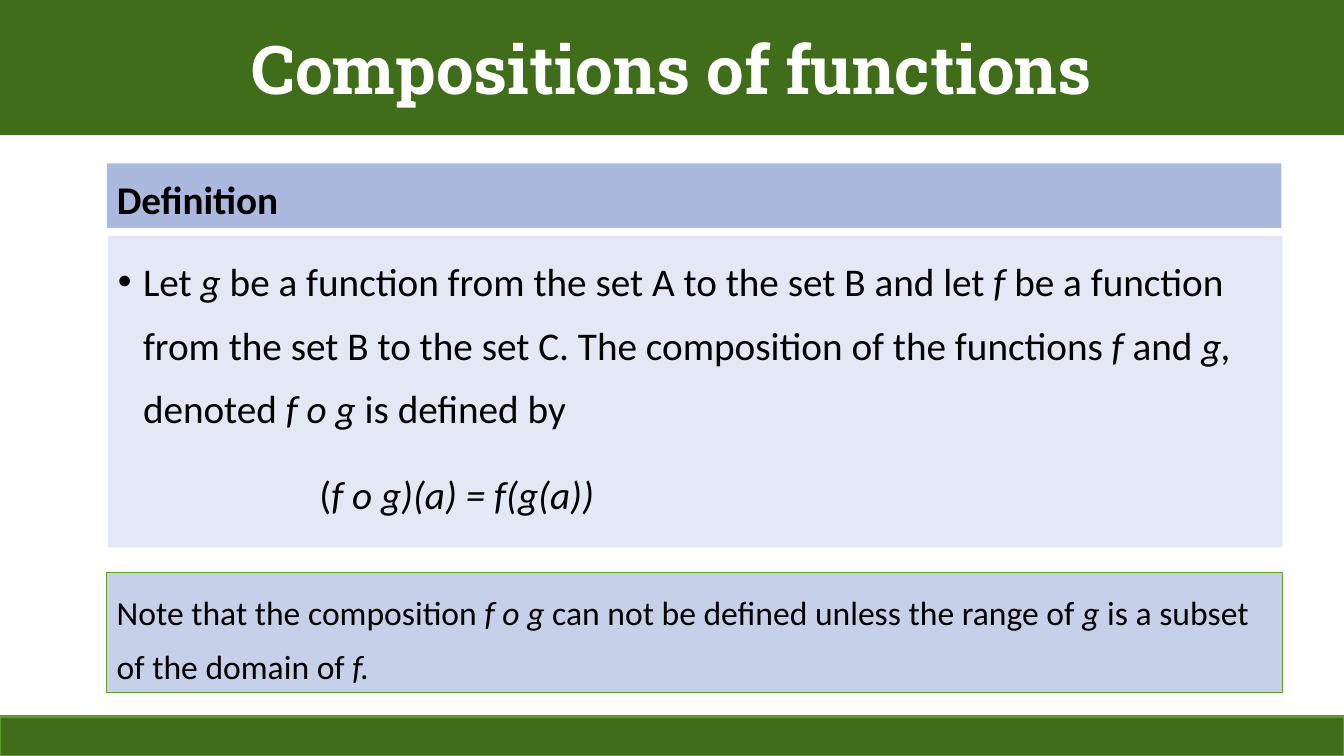
from dataclasses import dataclass

from lxml import etree
from pptx import Presentation
from pptx.dml.color import RGBColor
from pptx.enum.shapes import MSO_SHAPE
from pptx.enum.text import MSO_ANCHOR, PP_ALIGN
from pptx.oxml.ns import qn
from pptx.util import Inches, Pt

RECTANGLE = MSO_SHAPE.RECTANGLE
TOP, MIDDLE = MSO_ANCHOR.TOP, MSO_ANCHOR.MIDDLE
LEFT, CENTER = PP_ALIGN.LEFT, PP_ALIGN.CENTER


@dataclass(frozen=True)
class Theme:
    band: str = "3F6D19"
    footer_line: str = "5E9B2C"
    heading_fill: str = "ABB9DE"
    body_fill: str = "E3E8F4"
    note_fill: str = "C7D0E9"
    note_line: str = "5FA326"
    text: str = "000000"
    title_text: str = "FFFFFF"
    title_font: str = "Roboto Slab"
    body_font: str = "Calibri"
    title_size: int = 48
    body_size: int = 28
    note_size: int = 24
    body_spacing: float = 1.35
    heading_spacing: float = 1.14


THEME = Theme()
SLIDE_WIDTH, SLIDE_HEIGHT = 13.33, 7.5

# Underscores enclose the italic parts.
DEFINITION = (
    "Let _g _be a function from the set A to the set B and let _f _be a function "
    "from the set B to the set C. The composition of the functions _f _and _g, _"
    "denoted _f o g _is defined by"
)
FORMULA = "(_f o g)(a) = f(g(a))_"
NOTE = (
    "Note that the composition _f o g_ can not be defined unless the range of "
    "_g _is a subset of the domain of _f._"
)


def add_panel(page, box, fill, line=None, line_width=0, anchor=TOP):
    shape = page.shapes.add_shape(RECTANGLE, *(Inches(length) for length in box))
    shape.shadow.inherit = False
    shape.fill.solid()
    shape.fill.fore_color.rgb = RGBColor.from_string(fill)
    if line:
        shape.line.color.rgb = RGBColor.from_string(line)
        shape.line.width = Pt(line_width)
    else:
        shape.line.fill.background()
    shape.text_frame.word_wrap = True
    shape.text_frame.vertical_anchor = anchor
    return shape


def write(para, text, size, color=THEME.text, font=THEME.body_font, bold=False,
          align=LEFT, spacing=1.0):
    """Fill a paragraph, setting the parts between underscores in italics."""
    para.alignment = align
    para.line_spacing = spacing
    for index, part in enumerate(text.split("_")):
        if not part:
            continue
        span = para.add_run()
        span.text = part
        span.font.name = font
        span.font.size = Pt(size)
        span.font.bold = bold
        span.font.italic = index % 2 == 1
        span.font.color.rgb = RGBColor.from_string(color)


def set_indent(para, left, first=0, bullet=None):
    properties = para._p.get_or_add_pPr()
    properties.set("marL", str(Inches(left)))
    properties.set("indent", str(Inches(first)))
    if bullet:
        etree.SubElement(properties, qn("a:buFont")).set("typeface", "Arial")
        etree.SubElement(properties, qn("a:buChar")).set("char", bullet)


def add_title_band(page, box):
    band = add_panel(page, box, THEME.band, anchor=MIDDLE)
    write(band.text_frame.paragraphs[0], "Compositions of functions", THEME.title_size,
          THEME.title_text, THEME.title_font, bold=True, align=CENTER)


def add_footer_band(page, box):
    add_panel(page, box, THEME.band, THEME.footer_line, 2)


def add_definition(page, box):
    left, top, width, height = box
    heading_height, gap = 0.64, 0.08
    heading = add_panel(page, (left, top, width, heading_height), THEME.heading_fill)
    write(heading.text_frame.paragraphs[0], "Definition", THEME.body_size,
          bold=True, spacing=THEME.heading_spacing)

    offset = heading_height + gap
    body = add_panel(page, (left + 0.01, top + offset, width, height - offset),
                     THEME.body_fill)
    statement = body.text_frame.paragraphs[0]
    set_indent(statement, 0.25, -0.25, "•")
    write(statement, DEFINITION, THEME.body_size, spacing=THEME.body_spacing)
    statement.space_after = Pt(6)

    formula = body.text_frame.add_paragraph()
    set_indent(formula, 2)
    write(formula, FORMULA, THEME.body_size, spacing=THEME.body_spacing)
    formula.space_before = Pt(10)


def add_note(page, box):
    note = add_panel(page, box, THEME.note_fill, THEME.note_line, 0.75)
    write(note.text_frame.paragraphs[0], NOTE, THEME.note_size,
          spacing=THEME.body_spacing)


def main():
    deck = Presentation()
    deck.slide_width, deck.slide_height = Inches(SLIDE_WIDTH), Inches(SLIDE_HEIGHT)
    page = deck.slides.add_slide(deck.slide_layouts[6])
    add_title_band(page, (0, 0, SLIDE_WIDTH, 1.34))
    add_footer_band(page, (0, 7.11, SLIDE_WIDTH, 0.39))
    add_definition(page, (1.06, 1.62, 11.65, 3.81))
    add_note(page, (1.06, 5.68, 11.66, 1.19))
    deck.save("out.pptx")


if __name__ == "__main__":
    main()
